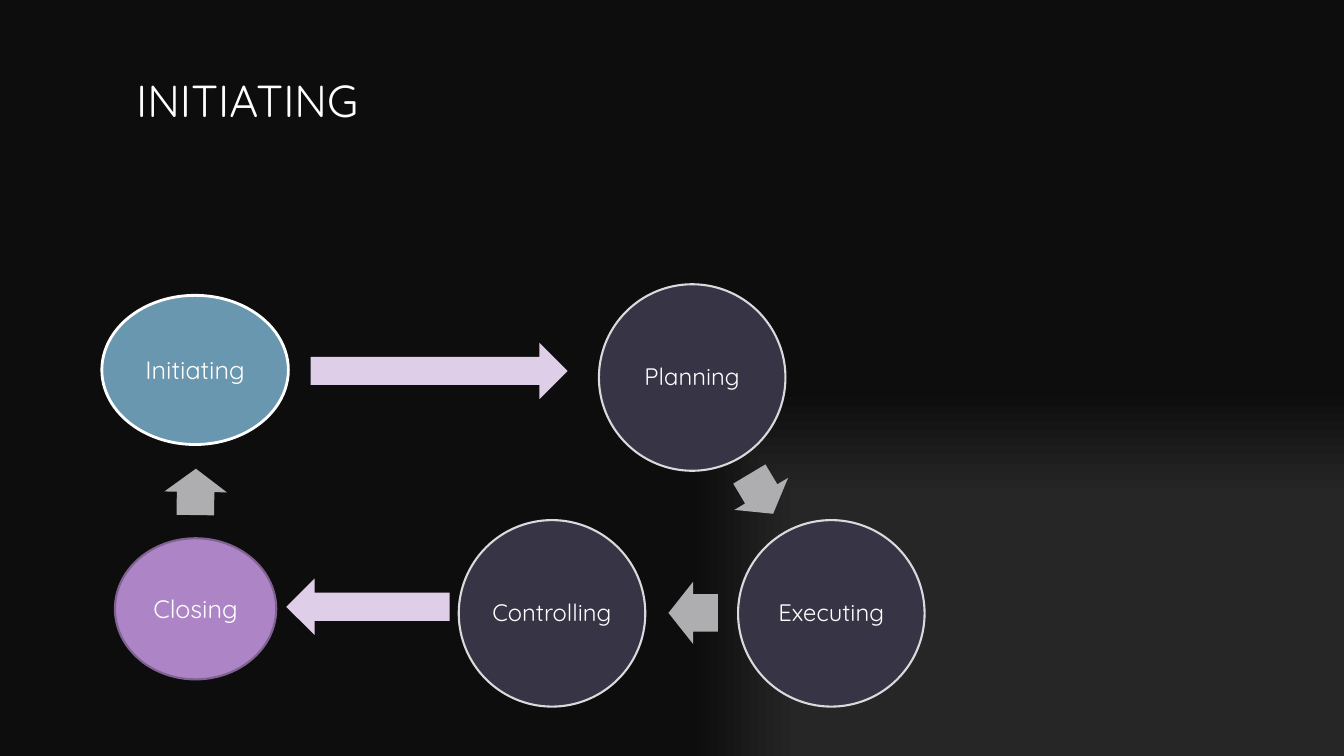
import pptx
import pptx.dml.color
import pptx.enum.shapes
import pptx.enum.text
import pptx.oxml
import pptx.oxml.ns
import pptx.util

Inches = pptx.util.Inches
Pt = pptx.util.Pt
RGBColor = pptx.dml.color.RGBColor
SHAPES = pptx.enum.shapes.MSO_SHAPE
ALIGN = pptx.enum.text.PP_ALIGN
ANCHOR = pptx.enum.text.MSO_ANCHOR

FONT = "Quicksand"
WHITE = RGBColor(0xFF, 0xFF, 0xFF)
CHARCOAL = RGBColor(0x26, 0x26, 0x26)
BLACK = RGBColor(0x0D, 0x0D, 0x0D)
DARK_PURPLE = RGBColor(0x37, 0x35, 0x45)
PALE_GREY = RGBColor(0xDC, 0xD8, 0xDC)
GREY = RGBColor(0xAE, 0xAE, 0xB1)
BLUE = RGBColor(0x69, 0x97, 0xAF)
PURPLE = RGBColor(0xAD, 0x84, 0xC6)
DEEP_PURPLE = RGBColor(0x80, 0x62, 0x92)
LILAC = RGBColor(0xDE, 0xCE, 0xE8)

CIRCLE = 1.85
GRADIENT_STOPS = [(0, CHARCOAL), (23, CHARCOAL), (69, CHARCOAL), (97, BLACK)]


def set_background(page):
    stops = "".join(
        f'<a:gs pos="{percent * 1000}"><a:srgbClr val="{color}"/></a:gs>'
        for percent, color in GRADIENT_STOPS
    )
    background = pptx.oxml.parse_xml(
        f'<p:bg {pptx.oxml.ns.nsdecls("p", "a")}><p:bgPr>'
        f'<a:gradFill rotWithShape="1"><a:gsLst>{stops}</a:gsLst>'
        '<a:path path="rect"><a:fillToRect l="100000" t="100000"/></a:path>'
        "</a:gradFill><a:effectLst/></p:bgPr></p:bg>"
    )
    page.element.find(pptx.oxml.ns.qn("p:cSld")).insert(0, background)


def add_text(para, text, size):
    span = para.add_run()
    span.text = text
    span.font.name = FONT
    span.font.size = Pt(size)
    span.font.color.rgb = WHITE


def set_title(page, text):
    title = page.shapes.title
    title.left, title.top = Inches(1.25), Inches(0.67)
    title.width, title.height = Inches(10.83), Inches(2.08)
    title.text_frame.vertical_anchor = ANCHOR.TOP
    para = title.text_frame.paragraphs[0]
    para.alignment = ALIGN.LEFT
    add_text(para, text, 32)


def add_shape(page, kind, left, top, width, height, fill):
    shape = page.shapes.add_shape(
        kind, Inches(left), Inches(top), Inches(width), Inches(height)
    )
    shape.shadow.inherit = False
    shape.fill.solid()
    shape.fill.fore_color.rgb = fill
    return shape


def add_phase(page, text, left, top, width, height, fill, outline, weight, size):
    phase = add_shape(page, SHAPES.OVAL, left, top, width, height, fill)
    phase.line.color.rgb = outline
    phase.line.width = Pt(weight)
    frame = phase.text_frame
    frame.word_wrap = True
    frame.vertical_anchor = ANCHOR.MIDDLE
    frame.margin_left = frame.margin_right = Inches(0.02)
    frame.margin_top = frame.margin_bottom = Inches(0.02)
    para = frame.paragraphs[0]
    para.alignment = ALIGN.CENTER
    add_text(para, text, size)
    return para


def add_cycle_phase(page, text, left, top):
    para = add_phase(
        page, text, left, top, CIRCLE, CIRCLE, DARK_PURPLE, PALE_GREY, 1.5, 17
    )
    para.line_spacing = 0.9
    para.space_after = Pt(6)


def add_arrow(page, left, top, width, height, rotation, fill, shaft=0.5):
    arrow = add_shape(page, SHAPES.RIGHT_ARROW, left, top, width, height, fill)
    arrow.line.fill.background()
    arrow.rotation = rotation
    arrow.adjustments[0] = shaft
    arrow.adjustments[1] = 0.5


def main():
    deck = pptx.Presentation()
    deck.slide_width, deck.slide_height = Inches(13.33), Inches(7.5)
    page = deck.slides.add_slide(deck.slide_layouts[5])
    set_background(page)
    set_title(page, "INITIATING")

    for text, left, top in [
        ("Planning", 5.94, 2.82),
        ("Executing", 7.32, 5.16),
        ("Controlling", 4.55, 5.16),
    ]:
        add_cycle_phase(page, text, left, top)
    for left, top, width, rotation in [
        (7.32, 4.59, 0.46, 59.2),
        (6.63, 5.77, 0.49, 180),
        (1.71, 4.57, 0.46, 270.8),
    ]:
        add_arrow(page, left, top, width, 0.62, rotation, GREY, shaft=0.6)

    add_phase(page, "Initiating", 1.01, 2.93, CIRCLE, 1.48, BLUE, WHITE, 2, 18)
    add_phase(page, "Closing", 1.14, 5.34, 1.6, 1.4, PURPLE, DEEP_PURPLE, 1.5, 18)
    add_arrow(page, 3.08, 3.4, 2.55, 0.56, 0, LILAC)
    add_arrow(page, 2.84, 5.74, 1.62, 0.56, 180, LILAC)

    deck.save("out.pptx")


if __name__ == "__main__":
    main()
